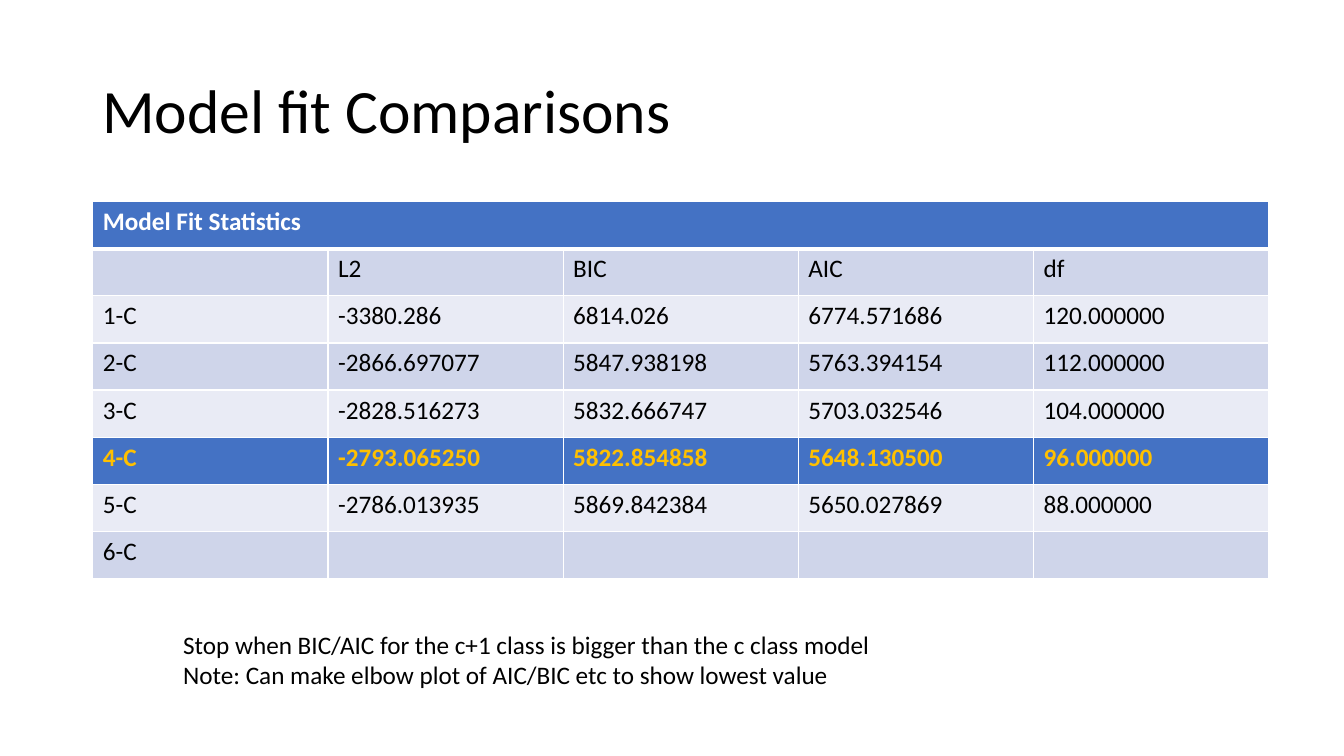
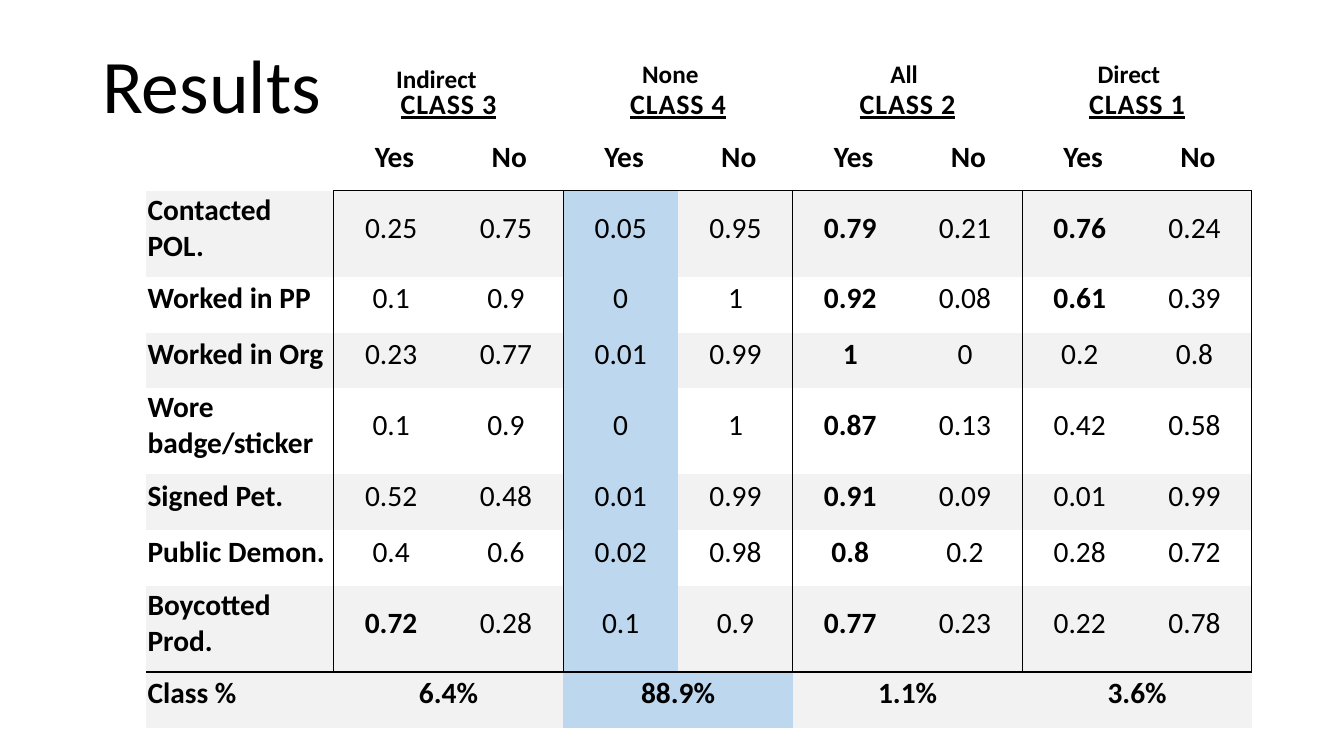
from dataclasses import dataclass, field

from lxml.etree import SubElement
from pptx import Presentation
from pptx.dml.color import RGBColor
from pptx.enum.text import MSO_ANCHOR, PP_ALIGN
from pptx.oxml.ns import qn
from pptx.util import Pt


@dataclass(frozen=True)
class Theme:
    font: str = "Calibri"
    black: str = "000000"
    white: str = "FFFFFF"
    blue: str = "4472C4"
    gold: str = "FFC000"
    band_dark: str = "CFD5EA"
    band_light: str = "E9EBF5"
    gray: str = "F2F2F2"
    pale_blue: str = "BDD7EE"
    title: int = 44
    big_title: int = 54
    text: int = 18
    class_name: int = 20
    result: int = 21


THEME = Theme()


@dataclass
class CellLook:
    """Look of one table cell; edges maps L, R, T, B to (colour, width)."""
    fill: str = None
    color: str = THEME.black
    size: int = THEME.text
    bold: bool = False
    underline: bool = False
    tracking: int = 0
    align: PP_ALIGN = PP_ALIGN.LEFT
    anchor: MSO_ANCHOR = MSO_ANCHOR.TOP
    insets: tuple = (7.2, 3.6, 7.2, 3.6)
    edges: dict = field(default_factory=dict)


class Deck:
    def __init__(self, theme):
        self.theme = theme
        self.prs = Presentation()
        self.prs.slide_width, self.prs.slide_height = Pt(960), Pt(540)
        self.s = None

    def new_slide(self):
        self.s = self.prs.slides.add_slide(self.prs.slide_layouts[6])

    def style_run(self, r, size, color, bold=False):
        r.font.name = self.theme.font
        r.font.size = Pt(size)
        r.font.bold = bold
        r.font.color.rgb = RGBColor.from_string(color)

    def text(self, box, text, size, bold=False, align=PP_ALIGN.LEFT,
             anchor=MSO_ANCHOR.TOP, line_spacing=1.0):
        sp = self.s.shapes.add_textbox(*map(Pt, box))
        tf = sp.text_frame
        tf.word_wrap = True
        tf.vertical_anchor = anchor
        tf.text = text
        for p in tf.paragraphs:
            p.alignment = align
            p.line_spacing = line_spacing
            for r in p.runs:
                self.style_run(r, size, self.theme.black, bold)

    def title(self, text, top, height, size, anchor):
        self.text((66, top, 828, height), text, size,
                  anchor=anchor, line_spacing=0.9)

    def edge(self, tc_pr, index, side, line):
        ln = SubElement(tc_pr, qn(f"a:ln{side}"))
        tc_pr.insert(index, ln)
        if line is None:
            ln.set("w", "0")
            SubElement(ln, qn("a:noFill"))
            return
        color, width = line
        ln.set("w", str(Pt(width)))
        fill = SubElement(ln, qn("a:solidFill"))
        SubElement(fill, qn("a:srgbClr")).set("val", color)

    def cell(self, cell, text, look):
        if look.fill:
            cell.fill.solid()
            cell.fill.fore_color.rgb = RGBColor.from_string(look.fill)
        else:
            cell.fill.background()
        (cell.margin_left, cell.margin_top,
         cell.margin_right, cell.margin_bottom) = map(Pt, look.insets)
        cell.vertical_anchor = look.anchor
        tc_pr = cell._tc.get_or_add_tcPr()
        for index, side in enumerate("LRTB"):
            self.edge(tc_pr, index, side, look.edges.get(side))
        if not text:
            return
        p = cell.text_frame.paragraphs[0]
        p.text = text
        p.alignment = look.align
        r = p.runs[0]
        self.style_run(r, look.size, look.color, look.bold)
        r.font.underline = look.underline
        if look.tracking:
            r._r.get_or_add_rPr().set("spc", str(look.tracking))

    def table(self, left, top, widths, heights, rows, look):
        """Draw rows; None joins the cell to its left neighbour."""
        frame = self.s.shapes.add_table(
            len(rows), len(widths), Pt(left), Pt(top),
            Pt(sum(widths)), Pt(sum(heights)))
        tbl = frame.table
        tbl.first_row = tbl.horz_banding = False
        for column, width in zip(tbl.columns, widths):
            column.width = Pt(width)
        for row, height in zip(tbl.rows, heights):
            row.height = Pt(height)
        for i, row in enumerate(rows):
            for j, text in enumerate(row):
                self.cell(tbl.cell(i, j), text, look(i, j, text))
                if text is not None:
                    end = j + 1
                    while end < len(row) and row[end] is None:
                        end += 1
                    if end > j + 1:
                        tbl.cell(i, j).merge(tbl.cell(i, end - 1))


FIT_ROWS = [
    ["Model Fit Statistics", None, None, None, None],
    ["", "L2", "BIC", "AIC", "df"],
    ["1-C", "-3380.286", "6814.026", "6774.571686", "120.000000"],
    ["2-C", "-2866.697077", "5847.938198", "5763.394154", "112.000000"],
    ["3-C", "-2828.516273", "5832.666747", "5703.032546", "104.000000"],
    ["4-C", "-2793.065250", "5822.854858", "5648.130500", "96.000000"],
    ["5-C", "-2786.013935", "5869.842384", "5650.027869", "88.000000"],
    ["6-C", "", "", "", ""],
]
BEST_FIT_ROW = 5

RESULT_ROWS = [
    ["", "CLASS 3", None, "CLASS 4", None, "CLASS 2", None, "CLASS 1", None],
    [""] + ["Yes", "No"] * 4,
    ["Contacted POL.", "0.25", "0.75", "0.05", "0.95", "0.79", "0.21", "0.76", "0.24"],
    ["Worked in PP", "0.1", "0.9", "0", "1", "0.92", "0.08", "0.61", "0.39"],
    ["Worked in Org", "0.23", "0.77", "0.01", "0.99", "1", "0", "0.2", "0.8"],
    ["Wore badge/sticker", "0.1", "0.9", "0", "1", "0.87", "0.13", "0.42", "0.58"],
    ["Signed Pet.", "0.52", "0.48", "0.01", "0.99", "0.91", "0.09", "0.01", "0.99"],
    ["Public Demon.", "0.4", "0.6", "0.02", "0.98", "0.8", "0.2", "0.28", "0.72"],
    ["Boycotted Prod.", "0.72", "0.28", "0.1", "0.9", "0.77", "0.23", "0.22", "0.78"],
    ["Class %", "6.4%", None, "88.9%", None, "1.1%", None, "3.6%", None],
]
FIRST_BODY_ROW, CLASS_SHARE_ROW = 2, 9
TALL_ROWS = (2, 5, 8)
NONE_YES_COLUMN = 3
HIGH_SHARE = 0.6


def fit_look(i, j, text):
    t = THEME
    look = CellLook(edges={side: (t.white, 1) for side in "LRTB"})
    if i == 0:
        look.fill, look.color, look.bold = t.blue, t.white, True
        look.edges["B"] = (t.white, 3)
    elif i == BEST_FIT_ROW:
        look.fill, look.color, look.bold = t.blue, t.gold, True
    else:
        look.fill = t.band_dark if i % 2 else t.band_light
    if i == 1:
        look.edges["T"] = (t.white, 3)
    return look


def result_edges(i, j):
    in_body = FIRST_BODY_ROW <= i < CLASS_SHARE_ROW
    shown = {
        "L": in_body and j % 2 == 1,
        "R": in_body and j % 2 == 0,
        "T": i == CLASS_SHARE_ROW or (i == FIRST_BODY_ROW and j > 0),
        "B": i == CLASS_SHARE_ROW - 1 or (i == FIRST_BODY_ROW - 1 and j > 0),
    }
    return {side: (THEME.black, 1) for side, on in shown.items() if on}


def result_look(i, j, text):
    t = THEME
    look = CellLook(size=t.result, bold=True, anchor=MSO_ANCHOR.MIDDLE,
                    insets=(1, 1, 1, 9.4), edges=result_edges(i, j))
    if j > 0:
        look.align = PP_ALIGN.CENTER
    if i == 0:
        look.size, look.underline, look.tracking = t.class_name, True, 60
        look.anchor, look.insets = MSO_ANCHOR.BOTTOM, (1, 9.4, 1, 9.4)
    elif i < FIRST_BODY_ROW:
        look.insets = (5.8, 1, 1, 9.4)
    else:
        if i % 2 == 0 or i == CLASS_SHARE_ROW:
            look.fill = t.gray
        if j == NONE_YES_COLUMN:
            look.fill = t.pale_blue
        if j > 0 and i < CLASS_SHARE_ROW:
            look.bold = j % 2 == 1 and float(text) > HIGH_SHARE
    return look


def model_fit_slide(deck):
    deck.new_slide()
    deck.title("Model fit Comparisons", 28.8, 104.4, THEME.title,
               MSO_ANCHOR.MIDDLE)
    deck.table(66.3, 144, [168] * 5, [33.66] * 8, FIT_ROWS, fit_look)
    deck.text((123.8, 445.7, 520, 51),
              "Stop when BIC/AIC for the c+1 class is bigger than the c class model\n"
              "Note: Can make elbow plot of AIC/BIC etc to show lowest value",
              THEME.text)


def results_slide(deck):
    deck.new_slide()
    deck.title("Results", 23, 73.4, THEME.big_title, MSO_ANCHOR.BOTTOM)
    heights = [44] + [61.5 if i in TALL_ROWS else 39.8
                      for i in range(1, len(RESULT_ROWS))]
    deck.table(104.4, 52.5, [134] + [82] * 8, heights, RESULT_ROWS, result_look)
    for name, left, top in (("None", 431.3, 38.2), ("All", 598.3, 38.2),
                            ("Direct", 758.9, 38.2), ("Indirect", 264.2, 41.8)):
        deck.text((left, top, 95, 29), name, THEME.text, bold=True,
                  align=PP_ALIGN.CENTER)


def main():
    deck = Deck(THEME)
    model_fit_slide(deck)
    results_slide(deck)
    deck.prs.save("out.pptx")


if __name__ == "__main__":
    main()
